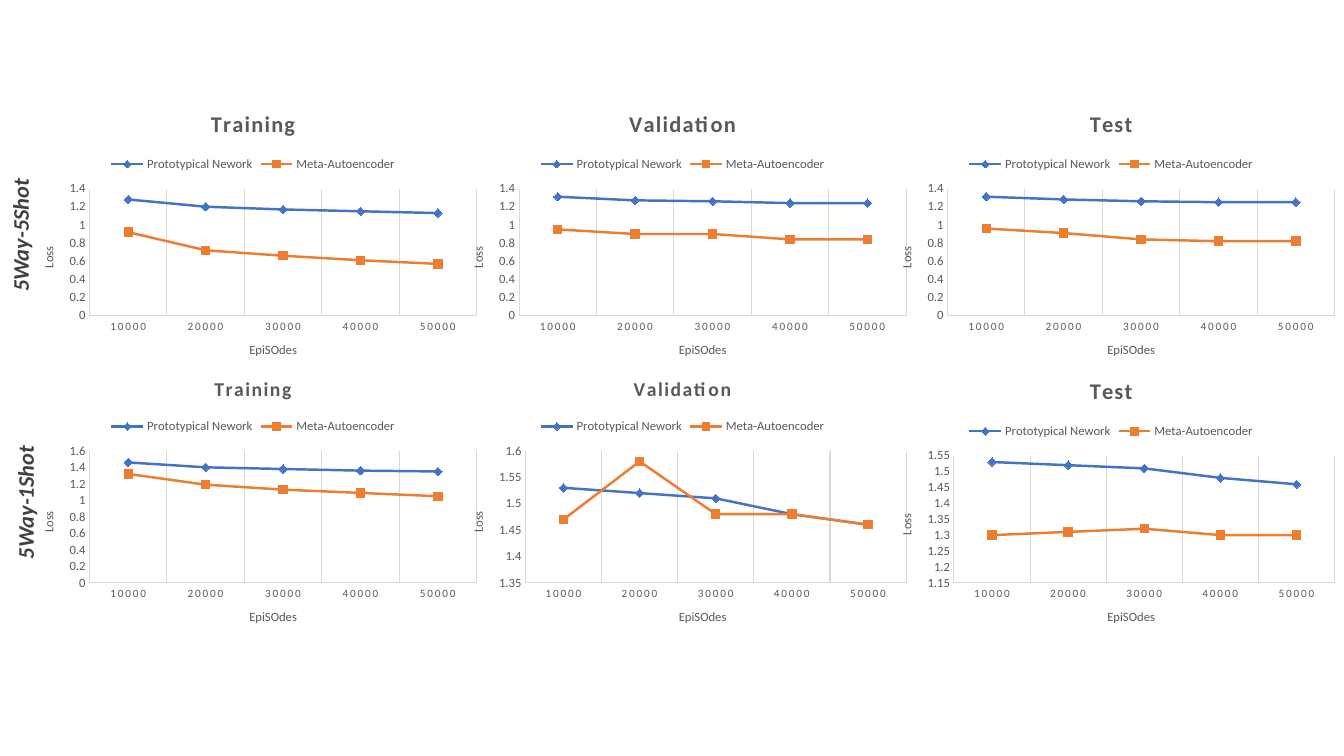
from lxml import etree
from pptx import Presentation
from pptx.chart.data import CategoryChartData
from pptx.dml.color import RGBColor
from pptx.enum.chart import XL_CHART_TYPE, XL_LEGEND_POSITION, XL_MARKER_STYLE, XL_TICK_MARK
from pptx.enum.text import MSO_AUTO_SIZE, PP_ALIGN
from pptx.oxml import parse_xml
from pptx.util import Inches, Pt

LINE_MARKERS = XL_CHART_TYPE.LINE_MARKERS
LEGEND_TOP = XL_LEGEND_POSITION.TOP
NO_TICK = XL_TICK_MARK.NONE
CENTER = PP_ALIGN.CENTER
GROW_SHAPE = MSO_AUTO_SIZE.SHAPE_TO_FIT_TEXT

FONT = "Calibri"
COLORS = {"text": "595959", "label": "404040", "grid": "D9D9D9",
          "prototypical": "4472C4", "autoencoder": "ED7D31"}
SERIES_STYLES = [
    ("Prototypical Nework", "prototypical", XL_MARKER_STYLE.DIAMOND),
    ("Meta-Autoencoder", "autoencoder", XL_MARKER_STYLE.SQUARE),
]
EPISODES = ["10000", "20000", "30000", "40000", "50000"]
CHART_LEFTS = [0.2, 4.46, 8.71]
CHART_WIDTH, CHART_HEIGHT = 4.62, 2.82
LABEL_WIDTH, LABEL_HEIGHT = 2.2, 0.37

# Each panel: title, title size, axis (minimum, maximum, step), losses per series
ROWS = [
    {"label": "5Way-5Shot", "label_at": (-0.9, 2.15), "top": 0.93, "panels": [
        ("Training", 16, (0, 1.4, 0.2),
         [(1.28, 1.2, 1.17, 1.15, 1.13), (0.92, 0.72, 0.66, 0.61, 0.57)]),
        ("Validation", 16, (0, 1.4, 0.2),
         [(1.31, 1.27, 1.26, 1.24, 1.24), (0.95, 0.9, 0.9, 0.84, 0.84)]),
        ("Test", 16, (0, 1.4, 0.2),
         [(1.31, 1.28, 1.26, 1.25, 1.25), (0.96, 0.91, 0.84, 0.82, 0.82)]),
    ]},
    {"label": "5Way-1Shot", "label_at": (-0.85, 4.8), "top": 3.58, "panels": [
        ("Training", 14, (0, 1.6, 0.2),
         [(1.46, 1.4, 1.38, 1.36, 1.35), (1.32, 1.19, 1.13, 1.09, 1.05)]),
        ("Validation", 14, (1.35, 1.6, 0.05),
         [(1.53, 1.52, 1.51, 1.48, 1.46), (1.47, 1.58, 1.48, 1.48, 1.46)]),
        ("Test", 16, (1.15, 1.55, 0.05),
         [(1.53, 1.52, 1.51, 1.48, 1.46), (1.3, 1.31, 1.32, 1.3, 1.3)]),
    ]},
]
CLEAR_CHART_AREA = (
    '<c:spPr xmlns:c="http://schemas.openxmlformats.org/drawingml/2006/chart"'
    ' xmlns:a="http://schemas.openxmlformats.org/drawingml/2006/main">'
    "<a:noFill/><a:ln><a:noFill/></a:ln></c:spPr>")


class LossSlide:
    def __init__(self, slide):
        self.slide = slide

    def style_font(self, font, size, color="text", bold=False, italic=False, spacing=0):
        """Spacing between letters is in hundredths of a point."""
        font.name, font.size = FONT, Pt(size)
        font.bold, font.italic = bold, italic
        font.color.rgb = RGBColor.from_string(COLORS[color])
        if spacing:
            font._element.set("spc", str(spacing))

    def style_line(self, line, color="grid", width=0.75):
        line.width = Pt(width)
        line.color.rgb = RGBColor.from_string(COLORS[color])

    def write_title(self, title, text, size, bold=False, spacing=0, rotation=0):
        frame = title.text_frame
        frame.text = text
        self.style_font(frame.paragraphs[0].runs[0].font, size, bold=bold, spacing=spacing)
        body = frame._txBody.bodyPr
        body.set("rot", str(rotation * 60000))
        body.set("vert", "horz")

    def style_axis(self, axis, title, size, spacing=0, rotation=0):
        axis.has_title = True
        self.write_title(axis.axis_title, title, 9, rotation=rotation)
        axis.major_tick_mark = axis.minor_tick_mark = NO_TICK
        self.style_font(axis.tick_labels.font, size, spacing=spacing)
        self.style_line(axis.format.line)

    def style_series(self, series, color, marker):
        series.smooth = False
        self.style_line(series.format.line, color, 1.75)
        series.marker.style, series.marker.size = marker, 6
        series.marker.format.fill.solid()
        series.marker.format.fill.fore_color.rgb = RGBColor.from_string(COLORS[color])
        self.style_line(series.marker.format.line, color)

    def add_loss_chart(self, left, top, title, title_size, scale, losses):
        data = CategoryChartData()
        data.categories = EPISODES
        for (name, _, _), values in zip(SERIES_STYLES, losses):
            data.add_series(name, values)
        chart = self.slide.shapes.add_chart(
            LINE_MARKERS, Inches(left), Inches(top),
            Inches(CHART_WIDTH), Inches(CHART_HEIGHT), data).chart
        chart.font.name, chart.font.size = FONT, Pt(10)
        chart_space = chart._chartSpace
        chart_space.find(etree.QName(chart_space).text.replace("chartSpace", "chart")).addnext(
            parse_xml(CLEAR_CHART_AREA))

        chart.has_title = True
        self.write_title(chart.chart_title, title, title_size, bold=True, spacing=100)
        chart.has_legend = True
        chart.legend.position = LEGEND_TOP
        chart.legend.include_in_layout = False
        self.style_font(chart.legend.font, 9)

        episodes, loss = chart.category_axis, chart.value_axis
        self.style_axis(episodes, "EpiSOdes", 8, spacing=120)
        episodes.has_major_gridlines = True
        self.style_line(episodes.major_gridlines.format.line)
        self.style_axis(loss, "Loss", 9, rotation=-90)
        loss.has_major_gridlines = False
        loss.minimum_scale, loss.maximum_scale, loss.major_unit = scale

        plot = chart.plots[0]
        plot.vary_by_categories = False
        for series, (_, color, marker) in zip(plot.series, SERIES_STYLES):
            self.style_series(series, color, marker)

    def add_row_label(self, left, top, text):
        box = self.slide.shapes.add_textbox(
            Inches(left), Inches(top), Inches(LABEL_WIDTH), Inches(LABEL_HEIGHT))
        box.rotation = 270
        frame = box.text_frame
        frame.word_wrap = True
        frame.auto_size = GROW_SHAPE
        para = frame.paragraphs[0]
        para.text, para.alignment = text, CENTER
        self.style_font(para.font, 16, "label", bold=True, italic=True)


def main():
    deck = Presentation()
    deck.slide_width, deck.slide_height = Inches(13.33), Inches(7.5)
    page = LossSlide(deck.slides.add_slide(deck.slide_layouts[6]))
    for row in ROWS:
        for left, panel in zip(CHART_LEFTS, row["panels"]):
            page.add_loss_chart(left, row["top"], *panel)
        page.add_row_label(*row["label_at"], row["label"])
    deck.save("out.pptx")


if __name__ == "__main__":
    main()
